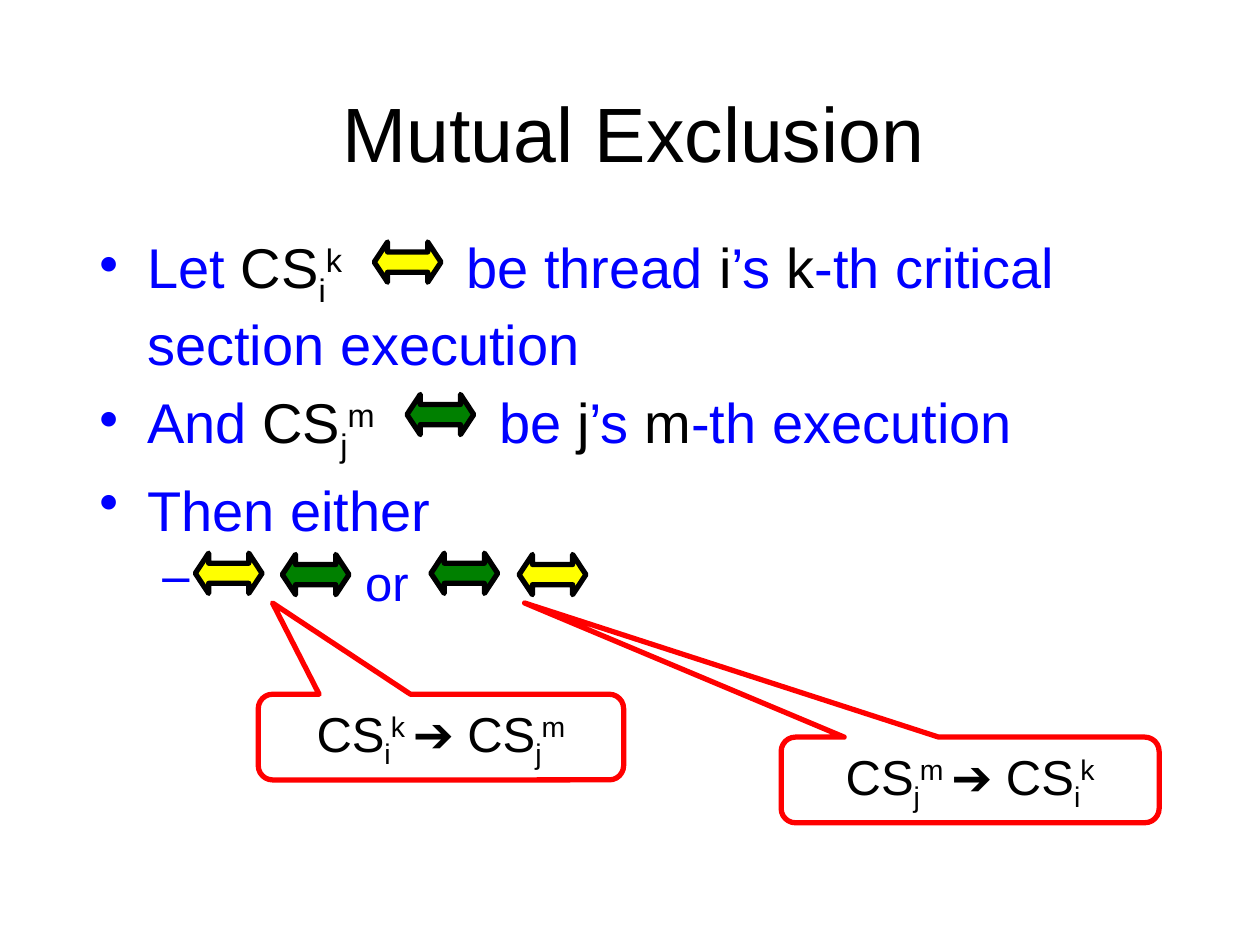
"""Build the mutual exclusion slide."""
import pptx
import pptx.util
import pptx.dml.color
import pptx.enum.shapes
import pptx.enum.text
import lxml.etree

Inches, Pt = pptx.util.Inches, pptx.util.Pt
KIND = pptx.enum.shapes.MSO_SHAPE
ANCHOR = pptx.enum.text.MSO_ANCHOR
ALIGN = pptx.enum.text.PP_ALIGN
INK = {"black": "000000", "blue": "0000FF", "yellow": "FFFF00",
       "green": "008000", "red": "FF0000"}
BASE = {"sub": "-25000", "sup": "30000"}


def write(para, size, parts):
    """Add runs, each a text with a style: colour, sub, sup or gap."""
    for text, style in parts:
        run = para.add_run()
        run.text = text
        run.font.name = "Arial"
        run.font.size = Pt(size)
        tint = INK.get(style, INK["black"])
        run.font.color.rgb = pptx.dml.color.RGBColor.from_string(tint)
        if style in BASE:
            run.font._element.set("baseline", BASE[style])
        if style == "gap":
            run.font._element.set("spc", "6230")


def draw(home, kind, box, adjust, line, fill=None):
    """Add an outlined shape to a slide or a group."""
    shape = home.shapes.add_shape(kind, *map(Inches, box))
    shape.shadow.inherit = False
    for spot, value in enumerate(adjust):
        shape.adjustments[spot] = value
    shape.line.color.rgb = pptx.dml.color.RGBColor.from_string(INK[line])
    shape.line.width = Pt(3)
    if fill:
        shape.fill.solid()
        shape.fill.fore_color.rgb = pptx.dml.color.RGBColor.from_string(INK[fill])
    else:
        shape.fill.background()
    return shape


deck = pptx.Presentation()
deck.slide_width, deck.slide_height = Inches(10), Inches(7.5)
slide = deck.slides.add_slide(deck.slide_layouts[6])

title = slide.shapes.add_textbox(*map(Inches, (0.78, 0.42, 8.5, 1.25))).text_frame
title.word_wrap = True
title.vertical_anchor = ANCHOR.MIDDLE
title.paragraphs[0].alignment = ALIGN.CENTER
write(title.paragraphs[0], 44, [("Mutual Exclusion", "black")])

first = [("CS", "black"), ("i", "sub"), ("k", "sup")]
second = [("CS", "black"), ("j", "sub"), ("m", "sup")]
points = [
    (32, "•", 0.38, 0.38,
     [("Let ", "blue"), *first, (" ", "gap"), ("be thread ", "blue"),
      ("i", "black"), ("’s ", "blue"), ("k", "black"),
      ("-th critical section execution", "blue")]),
    (32, "•", 0.38, 0.38,
     [("And ", "blue"), *second, (" ", "gap"), ("be ", "blue"),
      ("j", "black"), ("’s ", "blue"), ("m", "black"),
      ("-th execution", "blue")]),
    (32, "•", 0.38, 0.38, [("Then either", "blue")]),
    (28, "–", 2.11, 1.61, [("or", "blue")]),
]
body = slide.shapes.add_textbox(*map(Inches, (0.69, 1.8, 9.03, 4.54))).text_frame
body.word_wrap = True
for spot, (size, mark, left, hang, parts) in enumerate(points):
    para = body.add_paragraph() if spot else body.paragraphs[0]
    para.space_before = Pt(0.2 * size)
    props = para._p.get_or_add_pPr()
    props.set("marL", str(Inches(left)))
    props.set("indent", str(-Inches(hang)))
    space = props.nsmap["a"]
    lxml.etree.SubElement(props, f"{{{space}}}buChar", char=mark)
    write(para, size, parts)

arrows = [
    [(2.97, 1.92, "yellow")],
    [(3.23, 3.13, "green")],
    [(1.55, 4.39, "yellow"), (2.24, 4.4, "green")],
    [(3.42, 4.39, "green"), (4.12, 4.4, "yellow")],
]
for batch in arrows:
    home = slide.shapes.add_group_shape() if len(batch) > 1 else slide
    for left, top, fill in batch:
        arrow = draw(home, KIND.LEFT_RIGHT_ARROW, (left, top, 0.53, 0.32),
                     (0.5, 0.33), "black", fill)
        arrow.rotation = 180

notes = [
    ((2.05, 5.51, 2.9, 0.68), (-0.461, -1.566, 0.167), first, second),
    ((6.2, 5.85, 3, 0.68), (-1.179, -2.066, 0.167), second, first),
]
for box, adjust, before, after in notes:
    note = draw(slide, KIND.ROUNDED_RECTANGULAR_CALLOUT, box, adjust, "red")
    frame = note.text_frame
    frame.vertical_anchor = ANCHOR.MIDDLE
    frame.paragraphs[0].alignment = ALIGN.CENTER
    write(frame.paragraphs[0], 28,
          [*before, (" ", "sup"), ("➔ ", "black"), *after])

deck.save("out.pptx")
